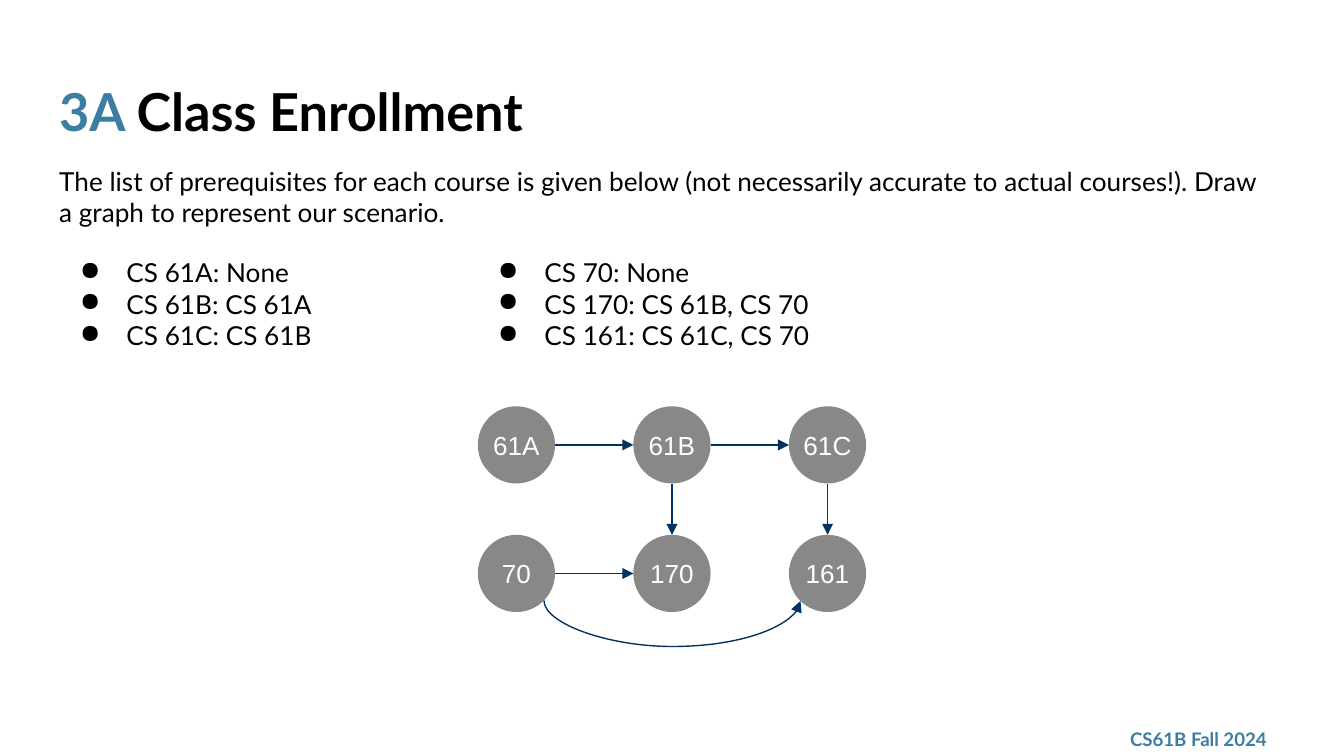
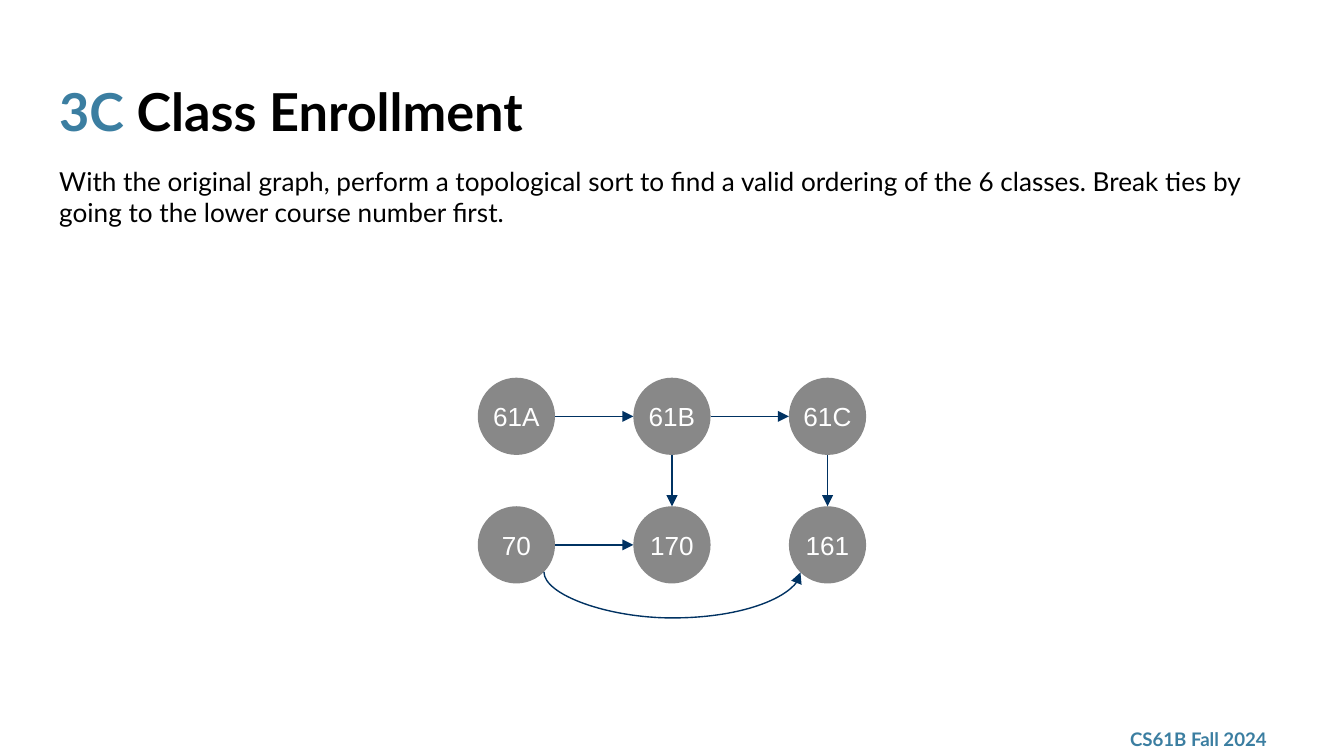
from dataclasses import dataclass
from math import cos, pi, sin

from lxml.etree import SubElement
from pptx import Presentation
from pptx.dml.color import RGBColor as RGB
from pptx.enum.shapes import MSO_CONNECTOR as Link, MSO_SHAPE as Kind
from pptx.enum.text import MSO_ANCHOR as Anchor, PP_ALIGN as Align
from pptx.oxml.ns import qn
from pptx.util import Cm, Pt


@dataclass(frozen=True)
class Theme:
    ink: RGB = RGB.from_string("000000")
    accent: RGB = RGB.from_string("3B7EA1")
    node: RGB = RGB.from_string("888888")
    label: RGB = RGB.from_string("FFFFFF")
    edge: RGB = RGB.from_string("003262")
    font: str = "Lato"
    sans: str = "Arial"
    head: Pt = Pt(28)
    body: Pt = Pt(14)
    foot: Pt = Pt(10)
    line: Pt = Pt(0.75)


THEME = Theme()
INSET = Cm(0.25)

# Boxes: left, top, width, height
TITLE = Cm(0.87), Cm(1.24), Cm(23.67), Cm(1.6)
TASK = Cm(0.87), Cm(2.87), Cm(23.4), Cm(1.7)
LISTS = Cm(0.87), Cm(4.6), Cm(16.23), Cm(2.31)
FOOTER = Cm(21.11), Cm(13.64), Cm(3.43), Cm(0.66)
GRAPH_LEFT = Cm(9.03)

NODES = [["61A", "61B", "61C"], ["70", "170", "161"]]
EDGES = [("61A", "61B"), ("61B", "61C"), ("70", "170"),
         ("61B", "170"), ("61C", "161")]
SIZE, STEP_X, STEP_Y = Cm(1.46), Cm(2.94), Cm(2.43)

# Connection sites of an ellipse, counted anticlockwise from the top
TOP, LEFT, LOW_LEFT, BOTTOM, LOW_RIGHT, RIGHT = 0, 2, 3, 4, 5, 6


def style(font, size, color, name=THEME.font, bold=False):
    font.name, font.size, font.bold = name, size, bold
    font.color.rgb = color


def add_box(slide, box, anchor=Anchor.TOP):
    frame = slide.shapes.add_textbox(*box).text_frame
    frame.word_wrap = True
    frame.vertical_anchor = anchor
    frame.margin_left = frame.margin_right = INSET
    frame.margin_top = frame.margin_bottom = INSET
    return frame


def add_title(slide, box, code, text):
    para = add_box(slide, box).paragraphs[0]
    for part, color in ((code + " ", THEME.accent), (text, THEME.ink)):
        run = para.add_run()
        run.text = part
        style(run.font, THEME.head, color, bold=True)


def add_task(slide, box, text):
    para = add_box(slide, box).paragraphs[0]
    para.text = text
    style(para.font, THEME.body, THEME.ink)


def add_footer(slide, box):
    para = add_box(slide, box, Anchor.MIDDLE).paragraphs[0]
    para.text = "CS61B Fall 2024"
    style(para.font, THEME.foot, THEME.accent, bold=True)


def add_bullet(para):
    props = para._p.get_or_add_pPr()
    props.set("marL", str(Cm(1.27)))
    props.set("indent", str(-Cm(0.88)))
    color = SubElement(props, qn("a:buClr"))
    SubElement(color, qn("a:srgbClr"), val=str(THEME.ink))
    SubElement(props, qn("a:buChar"), char="●")


def add_lists(slide, box, lists):
    """Place bullet lists side by side, at equal steps."""
    left, top, width, height = box
    step = Cm(7.9)
    for col, items in enumerate(lists):
        frame = add_box(slide, (left + col * step, top, width - step, height))
        frame.text = "\n".join(items)
        for para in frame.paragraphs:
            add_bullet(para)
            style(para.font, THEME.body, THEME.ink)


def add_node(slide, left, top, name):
    node = slide.shapes.add_shape(Kind.OVAL, left, top, SIZE, SIZE)
    node.shadow.inherit = False
    node.fill.solid()
    node.fill.fore_color.rgb = THEME.node
    node.line.fill.background()
    frame = node.text_frame
    frame.margin_left = frame.margin_right = 0
    frame.margin_top = frame.margin_bottom = 0
    frame.vertical_anchor = Anchor.MIDDLE
    para = frame.paragraphs[0]
    para.text = name
    para.alignment = Align.CENTER
    style(para.font, THEME.body, THEME.label, THEME.sans)
    return node


def find_site(node, site):
    """Return the point of a connection site on a round node."""
    turn, half = site * pi / 4, SIZE / 2
    return (round(node.left + half - half * sin(turn)),
            round(node.top + half - half * cos(turn)))


def add_link(slide, kind, ends, start, stop):
    """Draw an arrow between two points; start and stop are (node, site)."""
    link = slide.shapes.add_connector(kind, *ends)
    link.line.color.rgb = THEME.edge
    link.line.width = THEME.line
    SubElement(link.line._get_or_add_ln(), qn("a:tailEnd"), type="triangle")
    SubElement(link._element.spPr, qn("a:effectLst"))
    joins = link._element.nvCxnSpPr.cNvCxnSpPr
    for tag, (node, site) in (("a:stCxn", start), ("a:endCxn", stop)):
        SubElement(joins, qn(tag), id=str(node.shape_id), idx=str(site))
    return link


def add_arrow(slide, tail, head):
    level = tail.top == head.top
    start, stop = (tail, RIGHT if level else BOTTOM), (head, LEFT if level else TOP)
    ends = find_site(*start) + find_site(*stop)
    add_link(slide, Link.STRAIGHT, ends, start, stop)


def add_curve(slide, tail, head):
    """Draw an arrow that sags below two nodes of one row."""
    start, stop = (tail, LOW_RIGHT), (head, LOW_LEFT)
    (left, mid), (right, _) = find_site(*start), find_site(*stop)
    center, half = (left + right) // 2, (right - left) // 2
    thin, sag = Cm(0.01), Cm(0.87)
    # A thin upright connector, turned by 270 degrees about its middle
    ends = center + thin, mid - half, center, mid + half
    link = add_link(slide, Link.CURVE, ends, start, stop)
    props = link._element.spPr
    props.find(qn("a:xfrm")).set("rot", str(270 * 60000))
    guides = props.find(qn("a:prstGeom")).get_or_add_avLst()
    SubElement(guides, qn("a:gd"), name="adj1",
               fmla=f"val {round(sag / thin * 100000)}")


def add_graph(slide, left, top):
    nodes = {name: add_node(slide, left + col * STEP_X, top + row * STEP_Y, name)
             for row, names in enumerate(NODES)
             for col, name in enumerate(names)}
    for tail, head in EDGES:
        add_arrow(slide, nodes[tail], nodes[head])
    add_curve(slide, nodes["70"], nodes["161"])


def add_slide(deck, code, task, top, lists=()):
    slide = deck.slides.add_slide(deck.slide_layouts[6])
    add_footer(slide, FOOTER)
    add_title(slide, TITLE, code, "Class Enrollment")
    add_task(slide, TASK, task)
    add_lists(slide, LISTS, lists)
    add_graph(slide, GRAPH_LEFT, top)


def main():
    deck = Presentation()
    deck.slide_width, deck.slide_height = Cm(25.4), Cm(14.29)
    add_slide(
        deck, "3A",
        "The list of prerequisites for each course is given below (not "
        "necessarily accurate to actual courses!). Draw a graph to represent "
        "our scenario.",
        Cm(7.68),
        [["CS 61A: None", "CS 61B: CS 61A", "CS 61C: CS 61B"],
         ["CS 70: None", "CS 170: CS 61B, CS 70", "CS 161: CS 61C, CS 70"]])
    add_slide(
        deck, "3C",
        "With the original graph, perform a topological sort to find a valid "
        "ordering of the 6 classes. Break ties by going to the lower course "
        "number first.",
        Cm(7.14))
    deck.save("out.pptx")


if __name__ == "__main__":
    main()
